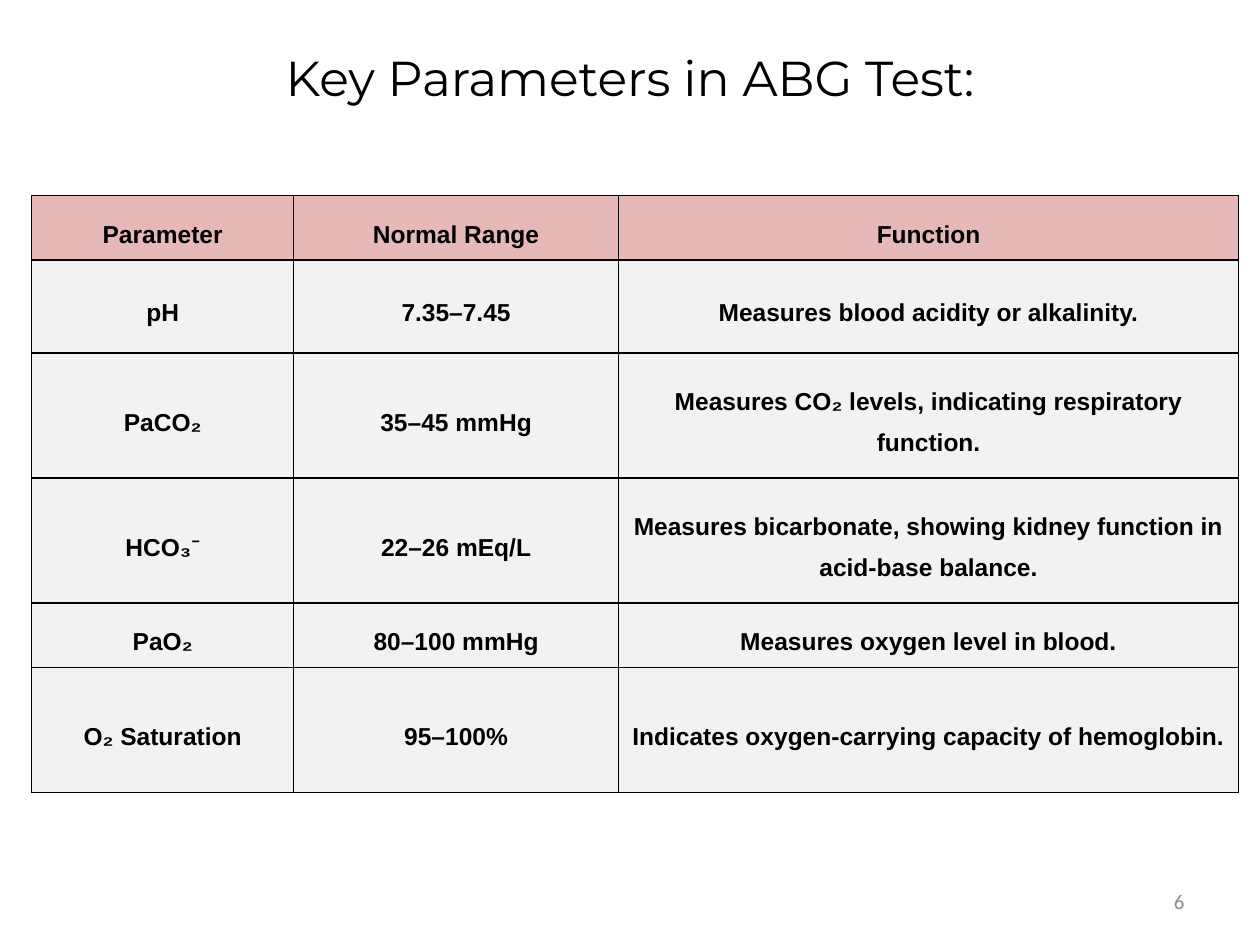
from lxml import etree
from pptx import Presentation
from pptx.dml.color import RGBColor
from pptx.enum import text as t
from pptx.oxml import ns
from pptx.util import Cm, Pt

BLACK = RGBColor(0x00, 0x00, 0x00)
GREY = RGBColor(0x8C, 0x8C, 0x8C)
PINK = RGBColor(0xE6, 0xB9, 0xB8)
PALE = RGBColor(0xF2, 0xF2, 0xF2)

HEAD = {"name": "Montserrat", "size": Pt(28), "bold": False}
BODY = {"name": "Arial", "size": Pt(14), "bold": True}
FOOT = {"name": "Calibri", "size": Pt(12), "bold": False}

ROWS = [
    ("Parameter", "Normal Range", "Function"),
    ("pH", "7.35–7.45", "Measures blood acidity or alkalinity."),
    ("PaCO₂", "35–45 mmHg", "Measures CO₂ levels, indicating respiratory function."),
    ("HCO₃⁻", "22–26 mEq/L",
     "Measures bicarbonate, showing kidney function in acid-base balance."),
    ("PaO₂", "80–100 mmHg", "Measures oxygen level in blood."),
    ("O₂ Saturation", "95–100%", "Indicates oxygen-carrying capacity of hemoglobin."),
]
WIDTHS = [5.28, 6.55, 12.5]
HEIGHTS = [1.3, 1.88, 2.52, 2.52, 1.3, 2.52]


def write(frame, words, align, style, color):
    frame.text = words
    para = frame.paragraphs[0]
    para.alignment = align
    font = para.runs[0].font
    for key, value in style.items():
        setattr(font, key, value)
    font.color.rgb = color
    return para


def border(cell):
    """Draw a thin black line on all four sides of the cell."""
    props = cell._tc.get_or_add_tcPr()
    for spot, side in enumerate(("lnL", "lnR", "lnT", "lnB")):
        line = etree.Element(ns.qn("a:" + side), w=str(Pt(1)))
        fill = etree.SubElement(line, ns.qn("a:solidFill"))
        etree.SubElement(fill, ns.qn("a:srgbClr"), val=str(BLACK))
        props.insert(spot, line)


deck = Presentation()
deck.slide_width, deck.slide_height = Cm(25.4), Cm(19.05)
slide = deck.slides.add_slide(deck.slide_layouts[5])

# Title
title = slide.shapes.title
title.left, title.top, title.width, title.height = Cm(1.27), Cm(0.84), Cm(22.86), Cm(2.34)
title.text_frame.vertical_anchor = t.MSO_ANCHOR.TOP
write(title.text_frame, "Key Parameters in ABG Test:", t.PP_ALIGN.CENTER, HEAD, BLACK)

# Table of parameters
table = slide.shapes.add_table(
    len(ROWS), len(WIDTHS), Cm(0.64), Cm(3.94), Cm(sum(WIDTHS)), Cm(sum(HEIGHTS))
).table
for col, width in zip(table.columns, WIDTHS):
    col.width = Cm(width)
for r, (row, height) in enumerate(zip(ROWS, HEIGHTS)):
    table.rows[r].height = Cm(height)
    for c, words in enumerate(row):
        cell = table.cell(r, c)
        cell.fill.solid()
        cell.fill.fore_color.rgb = PALE if r else PINK
        cell.vertical_anchor = t.MSO_ANCHOR.MIDDLE
        for side in ("left", "right", "top", "bottom"):
            setattr(cell, "margin_" + side, Cm(0.03))
        para = write(cell.text_frame, words, t.PP_ALIGN.CENTER, BODY, BLACK)
        para.line_spacing = 1.5
        border(cell)

# Page number
page = slide.shapes.add_textbox(Cm(18.2), Cm(17.66), Cm(5.93), Cm(1.01)).text_frame
page.word_wrap = True
page.vertical_anchor = t.MSO_ANCHOR.MIDDLE
write(page, "6", t.PP_ALIGN.RIGHT, FOOT, GREY)

deck.save("out.pptx")
